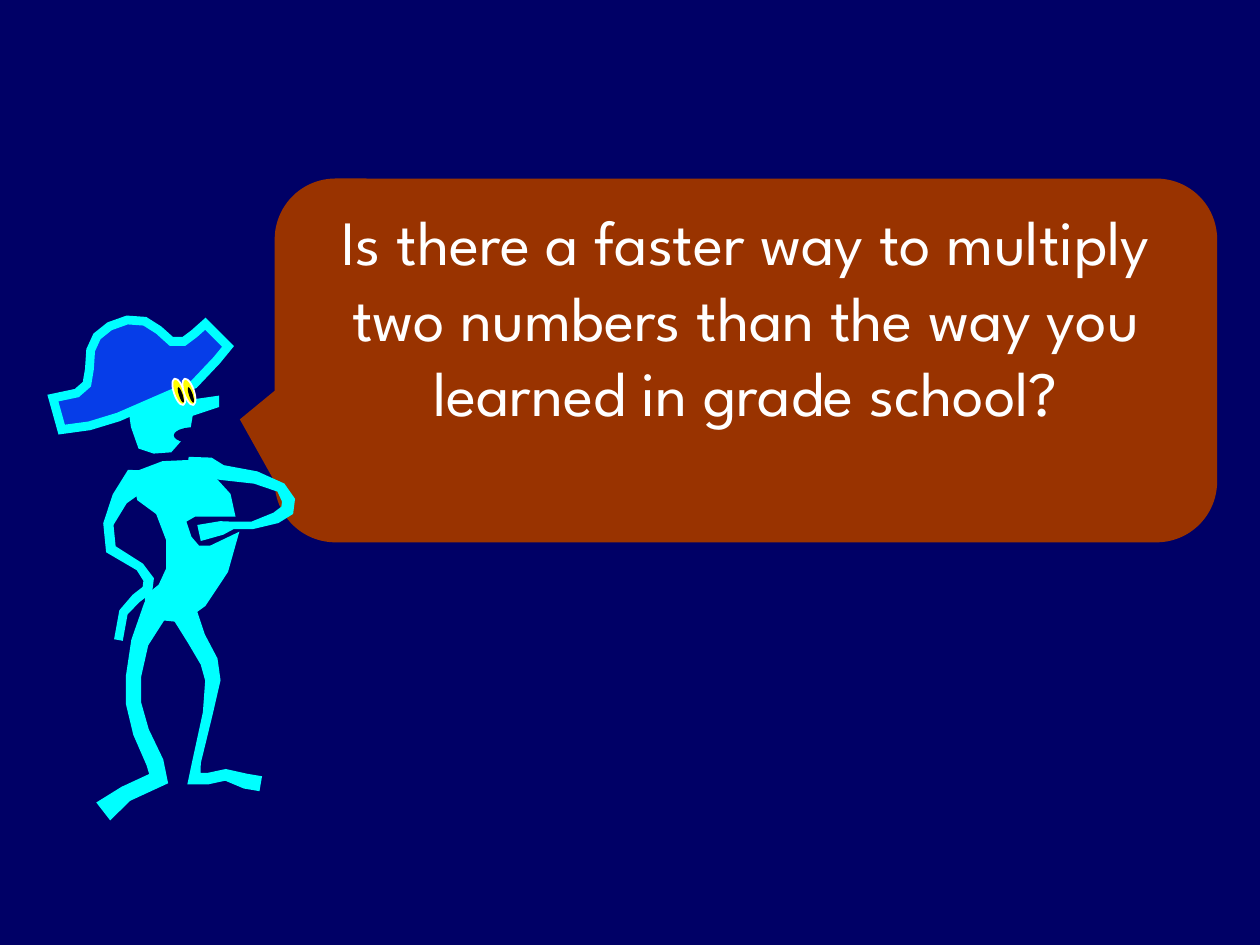
from math import hypot

from pptx import Presentation
from pptx.dml.color import RGBColor
from pptx.enum.shapes import MSO_SHAPE
from pptx.enum.text import MSO_ANCHOR, PP_ALIGN
from pptx.util import Inches, Pt

CALLOUT = MSO_SHAPE.ROUNDED_RECTANGULAR_CALLOUT
OVAL = MSO_SHAPE.OVAL
TOP = MSO_ANCHOR.TOP
CENTER = PP_ALIGN.CENTER

NAVY = RGBColor(0x00, 0x00, 0x66)
RUST = RGBColor(0x99, 0x33, 0x00)
CYAN = RGBColor(0x00, 0xFF, 0xFF)
BLUE = RGBColor(0x06, 0x3D, 0xE8)
YELLOW = RGBColor(0xFF, 0xFF, 0x00)
WHITE = RGBColor(0xFF, 0xFF, 0xFF)
BLACK = RGBColor(0x00, 0x00, 0x00)

FONT = "League Spartan"
SLIDE_WIDTH, SLIDE_HEIGHT = 10, 7.5
QUESTION = ("Is there a faster way to multiply two numbers "
            "than the way you learned in grade school?")

# Solid parts: corners (x, y) in inches, joined from named edges
FACE = [(1.53, 3.17), (1.47, 2.93), (1.32, 2.85), (1.17, 2.85), (1.08, 2.93)]
JAW = [(1.01, 3.18), (1.04, 3.39), (1.1, 3.56), (1.22, 3.6), (1.36, 3.59)]
NOSE = [(1.51, 3.42), (1.53, 3.3), (1.74, 3.23), (1.74, 3.14)]
HEAD = FACE + JAW + NOSE

SHOULDERS = [(1.83, 3.92), (1.63, 3.7), (1.51, 3.65), (1.29, 3.66), (1.08, 3.74)]
BACK = [(1.06, 3.84), (1.09, 3.97), (1.24, 4.08), (1.32, 4.29), (1.32, 4.51),
        (1.26, 4.64), (1.15, 4.73)]
HIPS = [(1.15, 4.84), (1.26, 4.92), (1.45, 4.94), (1.63, 4.81)]
BELLY = [(1.81, 4.54), (1.9, 4.22)]
HAND_GAP = [(1.67, 4.33), (1.58, 4.33), (1.52, 4.26), (1.48, 4.14),
            (1.55, 4.1), (1.87, 4.1)]
TORSO = SHOULDERS + BACK + HIPS + BELLY + HAND_GAP

HAT_FRONT = [(1.81, 2.75), (1.63, 2.57), (1.54, 2.65), (1.46, 2.71), (1.36, 2.71)]
HAT_CROWN = [(1.26, 2.62), (1.15, 2.55), (1.01, 2.54), (0.87, 2.59),
             (0.77, 2.67), (0.72, 2.78), (0.71, 2.93), (0.69, 3.05)]
HAT_BACK = [(0.61, 3.12), (0.42, 3.16), (0.49, 3.41)]
HAT_BRIM = [(0.71, 3.38), (0.94, 3.31), (1.33, 3.14), (1.54, 3.05), (1.72, 2.86)]
HAT = HAT_FRONT + HAT_CROWN + HAT_BACK + HAT_BRIM
TRIM_WIDTH = 0.07

# Limbs: joints (x, y, thickness) along the middle, from body to tip
ARM_ON_HIP = [(1.25, 3.78, 0.09), (1.07, 3.82, 0.2), (0.95, 3.96, 0.13),
              (0.86, 4.16, 0.08), (0.88, 4.36, 0.08), (1.11, 4.5, 0.07),
              (1.18, 4.6, 0.08), (1.17, 4.68, 0.08), (1.08, 4.75, 0.08),
              (0.98, 4.86, 0.07), (0.94, 5.08, 0.07)]
FOLDED_ARM = [(1.49, 3.69, 0.13), (1.66, 3.71, 0.16), (1.76, 3.75, 0.12),
              (2.03, 3.79, 0.1), (2.23, 3.87, 0.08), (2.29, 3.97, 0.1),
              (2.28, 4.05, 0.1), (2.19, 4.11, 0.09), (2, 4.17, 0.06),
              (1.85, 4.17, 0.06), (1.76, 4.19, 0.11), (1.58, 4.23, 0.13)]
LEFT_LEG = [(1.3, 4.7, 0.16), (1.24, 4.83, 0.21), (1.11, 5.1, 0.14),
            (1.06, 5.37, 0.12), (1.06, 5.58, 0.12), (1.12, 5.81, 0.13),
            (1.23, 6.05, 0.14), (1.26, 6.18, 0.13), (1, 6.3, 0.13),
            (0.82, 6.44, 0.18)]
RIGHT_LEG = [(1.38, 4.7, 0.06), (1.47, 4.88, 0.2), (1.56, 5.07, 0.15),
             (1.66, 5.25, 0.14), (1.69, 5.4, 0.12), (1.65, 5.66, 0.08),
             (1.56, 6.05, 0.07), (1.54, 6.18, 0.09), (1.65, 6.18, 0.09),
             (1.79, 6.15, 0.09), (1.95, 6.2, 0.12), (2.07, 6.22, 0.12)]
LIMBS = (ARM_ON_HIP, FOLDED_ARM, LEFT_LEG, RIGHT_LEG)

EYE_LEFTS = (1.31, 1.39)
EYE_TILT = 71.5
MOUTH = (1.38, 3.39, 0.33, 0.13)


def unit(x, y):
    length = hypot(x, y)
    return x / length, y / length


def heading(start, end):
    return unit(end[0] - start[0], end[1] - start[1])


def ribbon(joints):
    """Outline of a band along the joints: one side out, the other side back."""
    if joints[0] == joints[-1]:
        before, after = joints[-2], joints[1]
    else:
        before = after = None
    neighbours = zip([before, *joints[:-1]], joints, [*joints[1:], after])
    near_side, far_side = [], []
    for previous, joint, following in neighbours:
        arriving = heading(previous, joint) if previous else None
        leaving = heading(joint, following) if following else arriving
        arriving = arriving or leaving
        along_x, along_y = unit(arriving[0] + leaving[0], arriving[1] + leaving[1])
        bend = along_x * leaving[0] + along_y * leaving[1]
        x, y, thickness = joint
        reach = thickness / 2 / max(bend, 0.6)  # longer where the band turns
        near_side.append((x - along_y * reach, y + along_x * reach))
        far_side.append((x + along_y * reach, y - along_x * reach))
    return near_side + far_side[::-1]


def paint(shape, fill, line=None):
    shape.shadow.inherit = False
    shape.fill.solid()
    shape.fill.fore_color.rgb = fill
    if line is None:
        shape.line.fill.background()
    else:
        shape.line.color.rgb = line
        shape.line.width = Pt(1)


def write(shape, text, size=36, color=WHITE, align=CENTER, anchor=TOP):
    frame = shape.text_frame
    frame.word_wrap = True
    frame.vertical_anchor = anchor
    paragraph = frame.paragraphs[0]
    paragraph.alignment = align
    run = paragraph.add_run()
    run.text = text
    run.font.name = FONT
    run.font.size = Pt(size)
    run.font.color.rgb = color


def add_callout(slide, text):
    """Speech bubble whose tail points at the figure."""
    box = (0.218 * SLIDE_WIDTH, 0.189 * SLIDE_HEIGHT,
           0.748 * SLIDE_WIDTH, 0.385 * SLIDE_HEIGHT)
    callout = slide.shapes.add_shape(CALLOUT, *map(Inches, box))
    tail_x, tail_y, corner = -0.537, 0.162, 0.167
    for index, share in enumerate((tail_x, tail_y, corner)):
        callout.adjustments[index] = share
    paint(callout, RUST)
    write(callout, text)


def add_outline(shapes, points, fill):
    start, *rest = [(Inches(x), Inches(y)) for x, y in points]
    builder = shapes.build_freeform(*start)
    builder.add_line_segments(rest, close=True)
    paint(builder.convert_to_shape(), fill)


def add_oval(shapes, box, fill, line=None, tilt=0):
    oval = shapes.add_shape(OVAL, *map(Inches, box))
    oval.rotation = tilt
    paint(oval, fill, line)


def add_figure(slide):
    shapes = slide.shapes.add_group_shape().shapes
    for part in (HEAD, TORSO, *map(ribbon, LIMBS)):
        add_outline(shapes, part, CYAN)
    add_outline(shapes, HAT, BLUE)
    trim = [(x, y, TRIM_WIDTH) for x, y in HAT + HAT[:1]]
    add_outline(shapes, ribbon(trim), CYAN)
    for left in EYE_LEFTS:
        add_oval(shapes, (left, 3.07, 0.22, 0.08), YELLOW, WHITE, EYE_TILT)
        add_oval(shapes, (left + 0.06, 3.12, 0.13, 0.03), BLACK, tilt=EYE_TILT)
    add_oval(shapes, MOUTH, NAVY)


def main():
    deck = Presentation()
    deck.slide_width = Inches(SLIDE_WIDTH)
    deck.slide_height = Inches(SLIDE_HEIGHT)
    slide = deck.slides.add_slide(deck.slide_layouts[6])
    slide.background.fill.solid()
    slide.background.fill.fore_color.rgb = NAVY
    add_callout(slide, QUESTION)
    add_figure(slide)
    deck.save("out.pptx")


if __name__ == "__main__":
    main()
